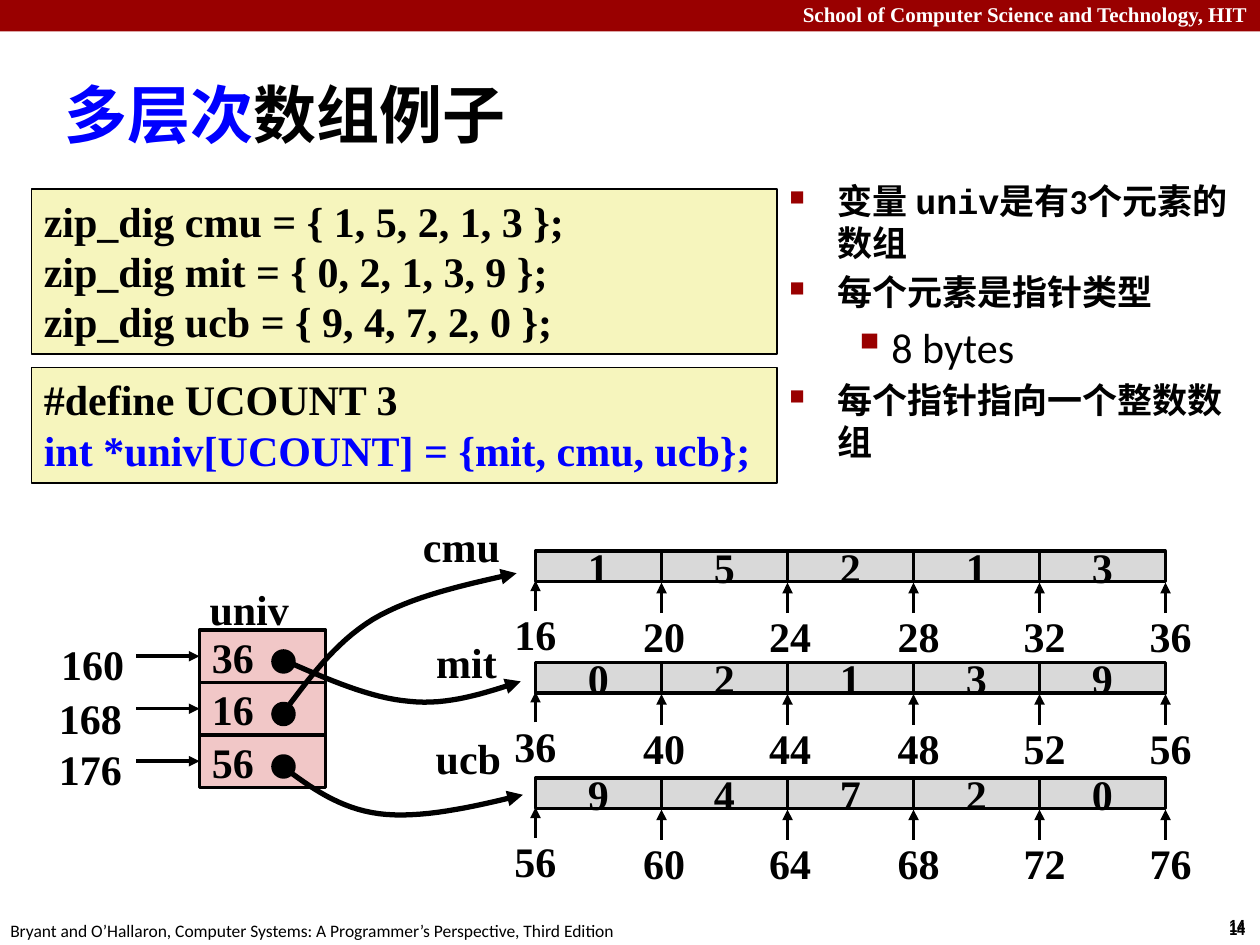
from lxml import etree
from pptx import Presentation
from pptx import util as u
from pptx.dml.color import RGBColor
from pptx.enum import shapes, text
from pptx.oxml import ns

COLS, ROWS = 120, 90  # grid of the whole slide
HUES = {"red": "990000", "white": "FFFFFF", "black": "000000", "blue": "0000FF",
        "cream": "F6F5BD", "pink": "F1C7C7", "gray": "D9D9D9"}
TIMES = {"name": "Times New Roman", "size": 24, "bold": True}
HEAD = {**TIMES, "size": 12, "hue": "white"}
TITLE = {"name": "Calibri", "size": 36, "bold": True}
BODY = {**TITLE, "size": 20}
SUB = {"name": "Calibri", "size": 24, "bold": False}
FOOT = {"name": "Calibri", "size": 10, "bold": False}
NUM = {"name": "Arial Narrow", "size": 10, "bold": True}
LEFT, MID, RIGHT = text.PP_ALIGN.LEFT, text.PP_ALIGN.CENTER, text.PP_ALIGN.RIGHT
BOX, DOT = shapes.MSO_SHAPE.RECTANGLE, shapes.MSO_SHAPE.OVAL


def rgb(hue):
    return RGBColor.from_string(HUES[hue])


def curve(start, *parts):
    """Points along a chain of cubic Bezier parts, each (control, control, end)."""
    points, steps = [start], 16
    for a, b, end in parts:
        begin = points[-1]
        for i in range(1, steps + 1):
            t = i / steps
            s = 1 - t
            points.append(tuple(
                s**3 * p + 3 * s * s * t * q + 3 * s * t * t * r + t**3 * e
                for p, q, r, e in zip(begin, a, b, end)))
    return points


class Page:
    def __init__(self, deck):
        self.slide = deck.slides.add_slide(deck.slide_layouts[6])
        self.items = self.slide.shapes
        self.col = deck.slide_width / COLS
        self.row = deck.slide_height / ROWS

    def grid(self, *spots):
        """Turn alternating columns and rows into lengths."""
        return [round(v * (self.row if i % 2 else self.col))
                for i, v in enumerate(spots)]

    def letter(self, frame, lines, style, align=LEFT, wrap=False, anchor=None):
        """Fill a frame; a line is a string or a list of (string, changes)."""
        frame.word_wrap = wrap
        frame.vertical_anchor = anchor or text.MSO_ANCHOR.TOP
        for i, line in enumerate(lines):
            par = frame.paragraphs[0] if i == 0 else frame.add_paragraph()
            par.alignment = align
            for words, change in [(line, {})] if isinstance(line, str) else line:
                run = par.add_run()
                run.text = words
                look = {"hue": "black", **style, **change}
                run.font.color.rgb = rgb(look.pop("hue"))
                look["size"] = u.Pt(look["size"])
                for key, value in look.items():
                    setattr(run.font, key, value)

    def label(self, spot, lines, style=TIMES, **form):
        box = self.items.add_textbox(*self.grid(*spot))
        self.letter(box.text_frame, lines, style, **form)
        return box

    def shape(self, spot, fill, lines=(), line=2, kind=BOX, **form):
        item = self.items.add_shape(kind, *self.grid(*spot))
        item.shadow.inherit = False
        item.fill.solid()
        item.fill.fore_color.rgb = rgb(fill)
        if line:
            self.stroke(item, line)
        else:
            item.line.fill.background()
        if lines:
            self.letter(item.text_frame, lines, TIMES, **form)
        return item

    def stroke(self, item, width, head=False):
        item.line.color.rgb = rgb("black")
        item.line.width = u.Pt(width)
        if head:
            line = item._element.spPr.find(ns.qn("a:ln"))
            etree.SubElement(line, ns.qn("a:tailEnd"), type="triangle")

    def arrow(self, start, end, goal=None):
        item = self.items.add_connector(
            shapes.MSO_CONNECTOR.STRAIGHT, *self.grid(*start, *end))
        if goal is not None:
            item.end_connect(goal, 1)
        self.stroke(item, 2, head=True)
        etree.SubElement(item._element.spPr, ns.qn("a:effectLst"))

    def sweep(self, points):
        """Curved arrow through the points."""
        spots = [self.grid(*p) for p in points]
        build = self.items.build_freeform(*spots[0])
        build.add_line_segments(spots[1:], close=False)
        item = build.convert_to_shape()
        item.shadow.inherit = False
        item.fill.background()
        self.stroke(item, 3, head=True)

    def bullet(self, par, mark, size, left, hang, space):
        props = par._p.get_or_add_pPr()
        props.set("marL", str(u.Inches(left)))
        props.set("indent", str(-u.Inches(hang)))
        color = etree.SubElement(props, ns.qn("a:buClr"))
        etree.SubElement(color, ns.qn("a:srgbClr"), val=HUES["red"])
        etree.SubElement(props, ns.qn("a:buSzPct"), val=str(size * 1000))
        etree.SubElement(props, ns.qn("a:buChar"), char=mark)
        par.space_before = u.Pt(space)


def frame(page):
    page.shape((0, 0, COLS, 3), "red", line=0)
    page.label((0, -0.4, COLS, 3.6), ["School of Computer Science and Technology, HIT"],
               HEAD, align=RIGHT, wrap=True)
    for top in (86.6, 86.8):
        page.label((115.9, top, 4.1, 3.2), ["14"], NUM)
    page.label((-0.2, 87, 61, 3.2), ["Bryant and O’Hallaron, Computer Systems: "
               "A Programmer’s Perspective, Third Edition"], FOOT)
    page.label((5, 7, 93.4, 7.5), [[("多层次", {"hue": "blue"}), ("数组例子", {})]],
               TITLE, wrap=True, anchor=text.MSO_ANCHOR.MIDDLE)


def notes(page):
    lines = [[("变量 ", {}), ("univ是", {"name": "Courier New"}), ("有3个元素的数组", {})],
             "每个元素是指针类型", [("8 bytes", SUB)], "每个指针指向一个整数数组"]
    box = page.label((74, 16.5, 46, 30), lines, BODY, wrap=True)
    for i, par in enumerate(box.text_frame.paragraphs):
        if i == 2:
            page.bullet(par, "▪", 110, 0.81, 0.31, 5)
        else:
            page.bullet(par, "■", 60, 0.38, 0.38, 4 if i else 0)


def code(page):
    page.shape((3, 18, 71, 15.75), "cream",
               ["zip_dig cmu = { 1, 5, 2, 1, 3 };", "zip_dig mit = { 0, 2, 1, 3, 9 };",
                "zip_dig ucb = { 9, 4, 7, 2, 0 };"], line=1, wrap=True)
    page.shape((3, 35, 71, 11), "cream",
               ["#define UCOUNT 3",
                [("int *univ[UCOUNT] = {mit, cmu, ucb};", {"hue": "blue"})]],
               line=1, wrap=True)


def table(page):
    """The univ array of pointers with its addresses."""
    spots = [(4.5, 60.2), (4.3, 65.4), (4.3, 70.2)]
    for i, (value, spot) in enumerate(zip((36, 16, 56), spots)):
        top = 60 + 5 * i
        cell = page.shape((19, top, 12, 5), "pink", [str(value)],
                          anchor=text.MSO_ANCHOR.MIDDLE)
        page.arrow((13, top + 2.5), (19, top + 2.5), cell)
        page.label((*spot, 8.5, 6.1), [str(160 + 8 * i)], align=RIGHT)
        page.shape((26, top + 2, 2, 2), "black", kind=DOT)
    page.label((18.6, 55, 10.1, 6.1), ["univ"], align=RIGHT)


def array(page, name, spot, top, digits, first):
    """One digit array with its name and the address under each edge."""
    page.label(spot, [name], align=RIGHT)
    for i, digit in enumerate(digits):
        page.shape((51 + 12 * i, top, 12, 2.9), "gray", [digit], align=MID,
                   anchor=text.MSO_ANCHOR.MIDDLE)
    for i, shift in enumerate((0, 0.25, 0.25, 0.5, 0.5, 0.5)):
        edge = 51 + 12 * i
        lift = 0 if i else 0.2
        page.label((edge + shift - 6.5, top + 5.1 - lift, 13, 6), [str(first + 4 * i)],
                   align=MID, wrap=True)
        page.arrow((edge, top + 5.9 - lift), (edge, top + 3 - lift))


def main():
    deck = Presentation()
    deck.slide_width, deck.slide_height = u.Inches(10), u.Inches(7.5)
    page = Page(deck)
    frame(page)
    notes(page)
    code(page)
    table(page)
    array(page, "cmu", (39, 49, 9.8, 6), 52.5, "15213", 16)
    array(page, "mit", (40.2, 60, 8.3, 6), 63.1, "02139", 36)
    array(page, "ucb", (40.1, 69.2, 8.8, 6), 74.1, "94720", 56)
    page.sweep(curve((26.9, 68), ((29.4, 64.7), (31.8, 61.3), (35.5, 59)),
                     ((39.2, 56.8), (44.2, 55.7), (49.2, 54.6))))
    page.sweep(curve((27.1, 62.9), ((31.2, 64.7), (35.3, 66.5), (39, 66.8)),
                     ((42.7, 67.2), (46.2, 66), (49.6, 64.9))))
    page.sweep(curve((26.9, 73), ((29.6, 75), (32.3, 77), (36.1, 77.5)),
                     ((40, 78), (44.9, 76.9), (49.8, 75.7))))
    deck.save("out.pptx")


if __name__ == "__main__":
    main()
